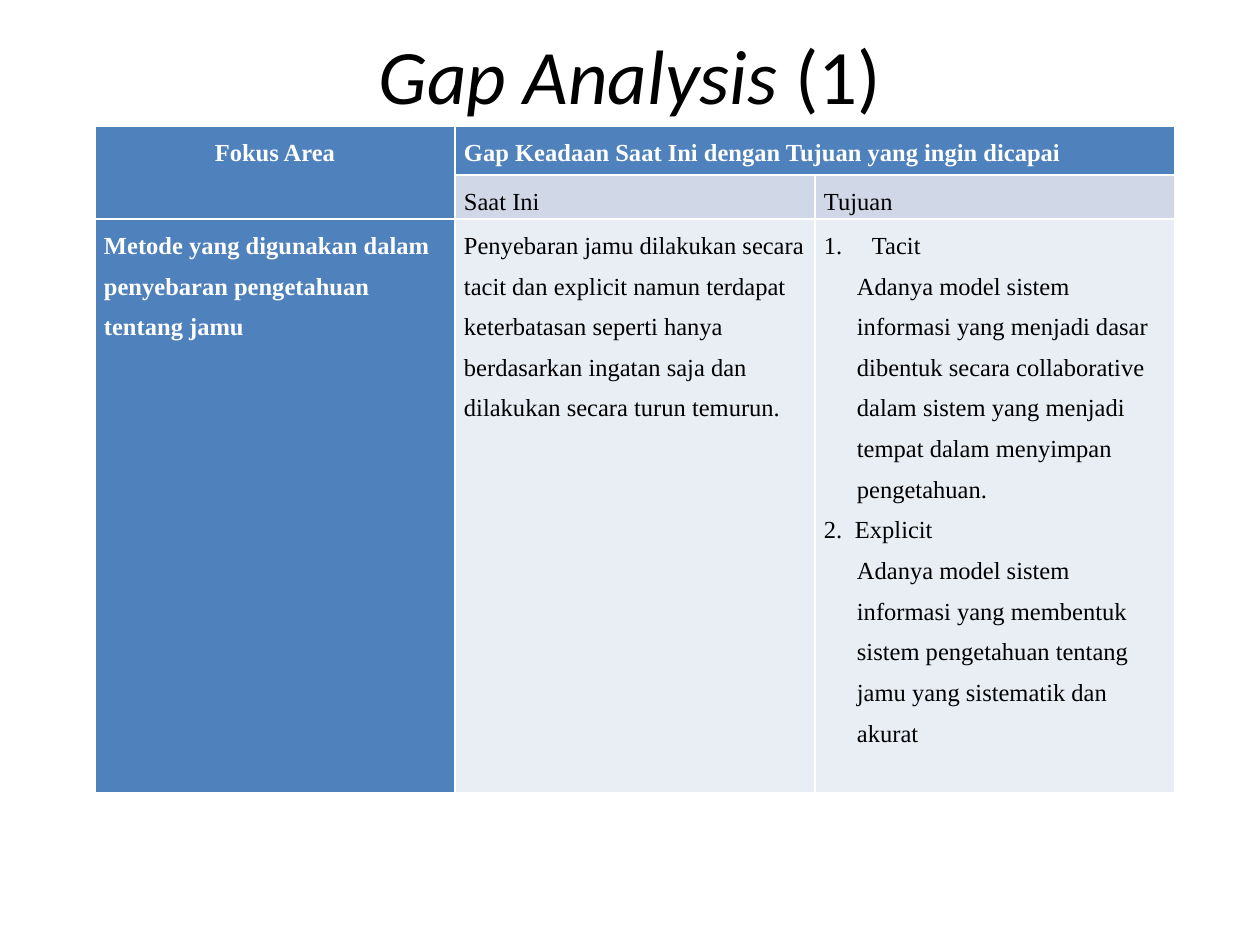
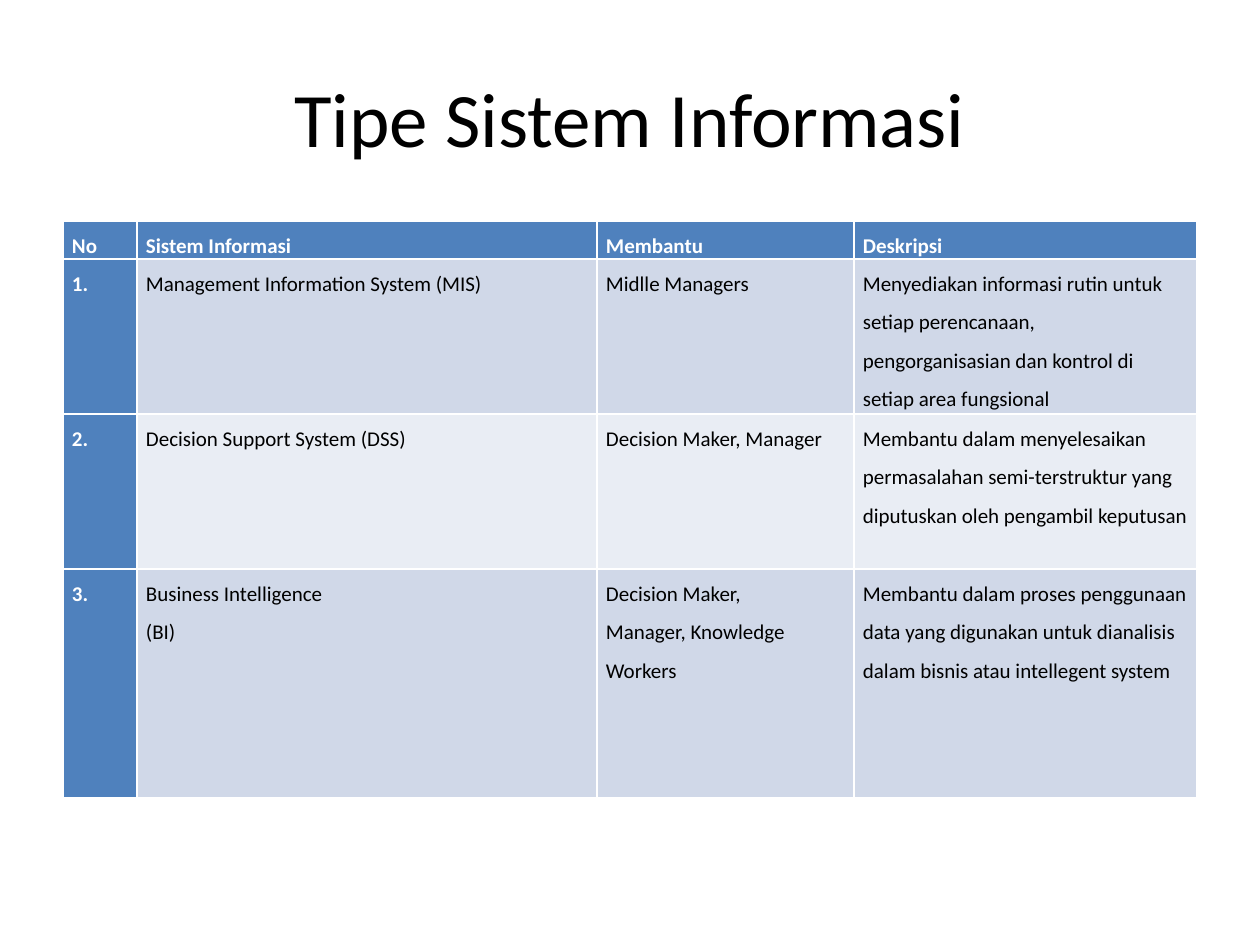
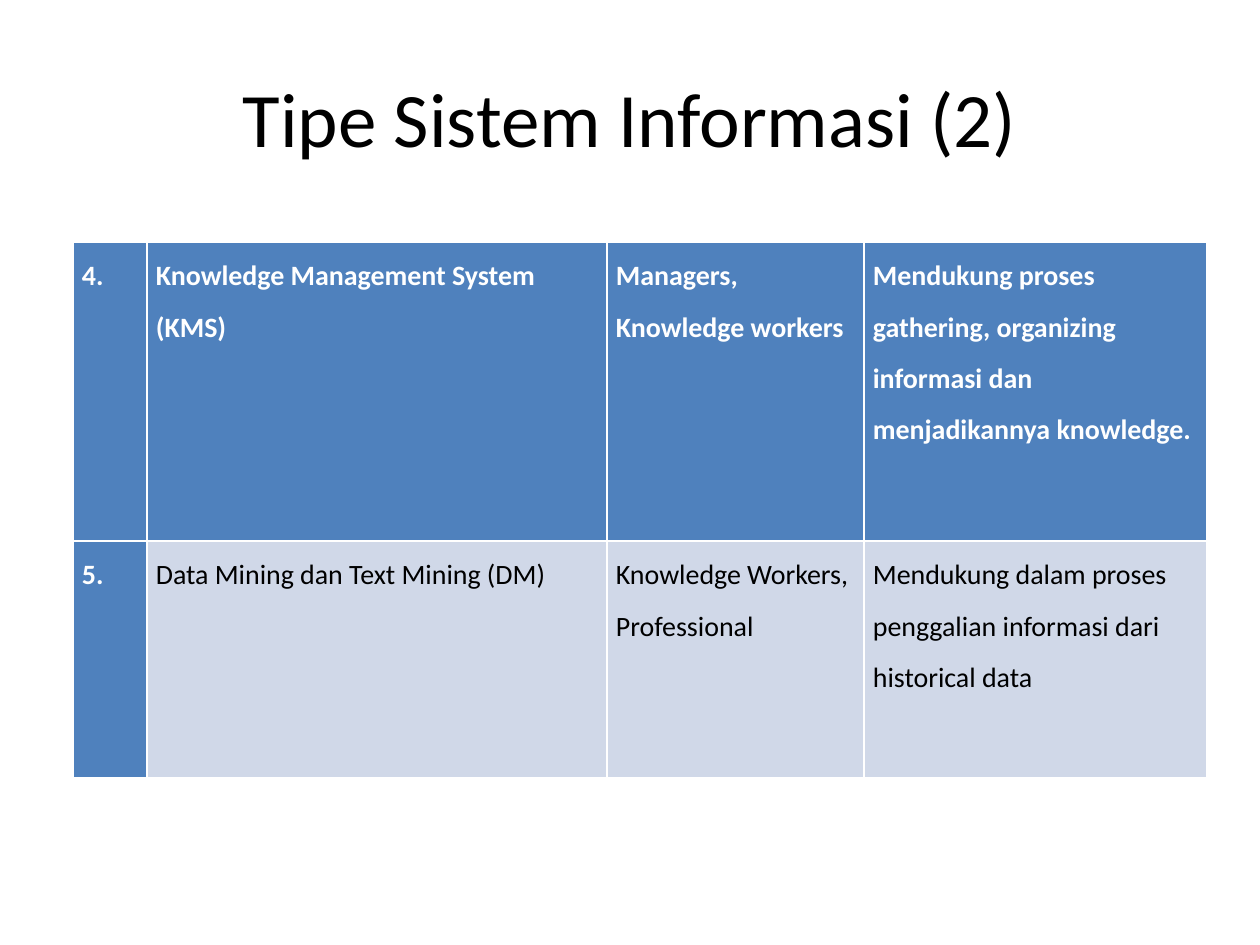
from dataclasses import dataclass

from lxml import etree
from pptx import Presentation
from pptx import util as u
from pptx.dml.color import RGBColor
from pptx.enum import text
from pptx.oxml import ns

LEFT, CENTER, JUSTIFY = (text.PP_ALIGN.LEFT, text.PP_ALIGN.CENTER,
                         text.PP_ALIGN.JUSTIFY)


@dataclass(frozen=True)
class Theme:
    title_font: str = "Calibri"
    title_size: int = 44
    ink: str = "000000"
    heading_ink: str = "FFFFFF"
    heading_fill: str = "4F81BD"
    bands: tuple = ("E9EDF4", "D0D8E8")
    line_spacing: float = 1.5
    cell_margin: int = 9


@dataclass(frozen=True)
class Item:
    """A paragraph with its own indent, numbered when number is set."""
    words: str
    left: int
    number: int = 0


THEME = Theme()
TITLE_BOX = (63, 38, 1134, 157)
SYSTEM_COLUMNS = (74, 460, 257, 343)

# Content: title runs are (words, italic); a cell is a string or a list
SLIDES = [
    {
        "title": [("Gap Analysis ", True), ("(1)", False)],
        "title_box": (63, 21, 1134, 105),
        "font": "Times New Roman", "size": 14,
        "at": (95, 126), "columns": (360, 360, 360), "heights": (49, 34, 498),
        "merges": [((0, 0), (1, 0)), ((0, 1), (0, 2))],
        "aligned": {(0, 0): CENTER},
        "rows": [
            ["Fokus Area",
             "Gap Keadaan Saat Ini dengan Tujuan yang ingin dicapai", ""],
            ["", "Saat Ini", "Tujuan"],
            ["Metode yang digunakan dalam penyebaran pengetahuan tentang jamu",
             "Penyebaran jamu dilakukan secara tacit dan explicit namun "
             "terdapat keterbatasan seperti hanya berdasarkan ingatan saja "
             "dan dilakukan secara turun temurun.",
             [Item("Tacit", 48, 1),
              Item("Adanya model sistem informasi yang menjadi dasar dibentuk "
                   "secara collaborative dalam sistem yang menjadi tempat "
                   "dalam menyimpan pengetahuan.", 33),
              Item("Explicit", 31, 2),
              Item("Adanya model sistem informasi yang membentuk sistem "
                   "pengetahuan tentang jamu yang sistematik dan akurat", 33)]],
        ],
    },
    {
        "title": [("Tipe Sistem Informasi", False)],
        "font": "Calibri", "size": 12,
        "at": (63, 221), "columns": SYSTEM_COLUMNS,
        "heights": (33, 155, 155, 229),
        "aligned": {(row, 0): JUSTIFY for row in range(4)}
                   | {(0, column): JUSTIFY for column in range(4)},
        "rows": [
            ["No", "Sistem Informasi", "Membantu", "Deskripsi"],
            ["1.", "Management Information System (MIS)", "Midlle Managers",
             "Menyediakan informasi rutin untuk setiap perencanaan, "
             "pengorganisasian dan kontrol di setiap area fungsional"],
            ["2.", "Decision Support System (DSS)", "Decision Maker, Manager",
             "Membantu dalam menyelesaikan permasalahan semi-terstruktur "
             "yang diputuskan oleh pengambil keputusan"],
            ["3.", ["Business Intelligence", "(BI)"],
             ["Decision Maker,", "Manager, Knowledge Workers"],
             "Membantu dalam proses penggunaan data yang digunakan untuk "
             "dianalisis dalam bisnis atau intellegent system"],
        ],
    },
    {
        "title": [("Tipe Sistem Informasi (2)", False)],
        "font": "Calibri", "size": 16,
        "at": (73, 242), "columns": SYSTEM_COLUMNS, "heights": (299, 237),
        "aligned": {(row, 0): JUSTIFY for row in range(2)},
        "rows": [
            ["4.", "Knowledge Management System (KMS)",
             "Managers, Knowledge workers",
             "Mendukung proses gathering, organizing informasi dan "
             "menjadikannya knowledge."],
            ["5.", "Data Mining dan Text Mining (DM)",
             "Knowledge Workers, Professional",
             "Mendukung dalam proses penggalian informasi dari historical data"],
        ],
    },
]


def px(length):
    return u.Emu(round(length * 914400 / 126))


def style_run(run, font, size, color, bold=False, italic=False):
    run.font.name = font
    run.font.size = u.Pt(size)
    run.font.bold = bold
    run.font.italic = italic
    run.font.color.rgb = RGBColor.from_string(color)


def add_title(slide, runs, box):
    shape = slide.shapes.add_textbox(*map(px, box))
    frame = shape.text_frame
    frame.word_wrap = True
    frame.vertical_anchor = text.MSO_ANCHOR.MIDDLE
    paragraph = frame.paragraphs[0]
    paragraph.alignment = CENTER
    for words, italic in runs:
        run = paragraph.add_run()
        run.text = words
        style_run(run, THEME.title_font, THEME.title_size, THEME.ink,
                  italic=italic)


def indent(paragraph, item):
    properties = paragraph._p.get_or_add_pPr()
    properties.set("marL", str(px(item.left)))
    properties.set("indent", str(-px(item.left) if item.number else 0))
    if item.number:
        etree.SubElement(properties, ns.qn("a:buAutoNum"),
                         type="arabicPeriod", startAt=str(item.number))


def fill_cell(cell, content, content_slide, heading, band, alignment):
    cell.margin_left = cell.margin_right = px(THEME.cell_margin)
    cell.margin_top = cell.margin_bottom = 0
    cell.fill.solid()
    cell.fill.fore_color.rgb = RGBColor.from_string(
        THEME.heading_fill if heading else THEME.bands[band])
    items = content if isinstance(content, list) else [content]
    frame = cell.text_frame
    frame.text = "\n".join(getattr(item, "words", item) for item in items)
    for paragraph, item in zip(frame.paragraphs, items):
        paragraph.alignment = alignment
        paragraph.line_spacing = THEME.line_spacing
        if isinstance(item, Item):
            indent(paragraph, item)
        for run in paragraph.runs:
            style_run(run, content_slide["font"], content_slide["size"],
                      THEME.heading_ink if heading else THEME.ink, heading)


def add_grid(slide, content):
    rows, columns, heights = (content[key]
                              for key in ("rows", "columns", "heights"))
    box = (*content["at"], sum(columns), sum(heights))
    table = slide.shapes.add_table(len(rows), len(columns),
                                   *map(px, box)).table
    table.first_col = True
    for column, width in zip(table.columns, columns):
        column.width = px(width)
    for row, height in zip(table.rows, heights):
        row.height = px(height)
    for start, end in content.get("merges", []):
        table.cell(*start).merge(table.cell(*end))
    for r, row in enumerate(rows):
        for c, cell_content in enumerate(row):
            cell = table.cell(r, c)
            if not cell.is_spanned:
                fill_cell(cell, cell_content, content, r == 0 or c == 0,
                          r % 2, content["aligned"].get((r, c), LEFT))


def main():
    presentation = Presentation()
    presentation.slide_width, presentation.slide_height = px(1260), px(945)
    blank = presentation.slide_layouts[6]
    for content in SLIDES:
        slide = presentation.slides.add_slide(blank)
        add_title(slide, content["title"], content.get("title_box", TITLE_BOX))
        add_grid(slide, content)
    presentation.save("out.pptx")


if __name__ == "__main__":
    main()
